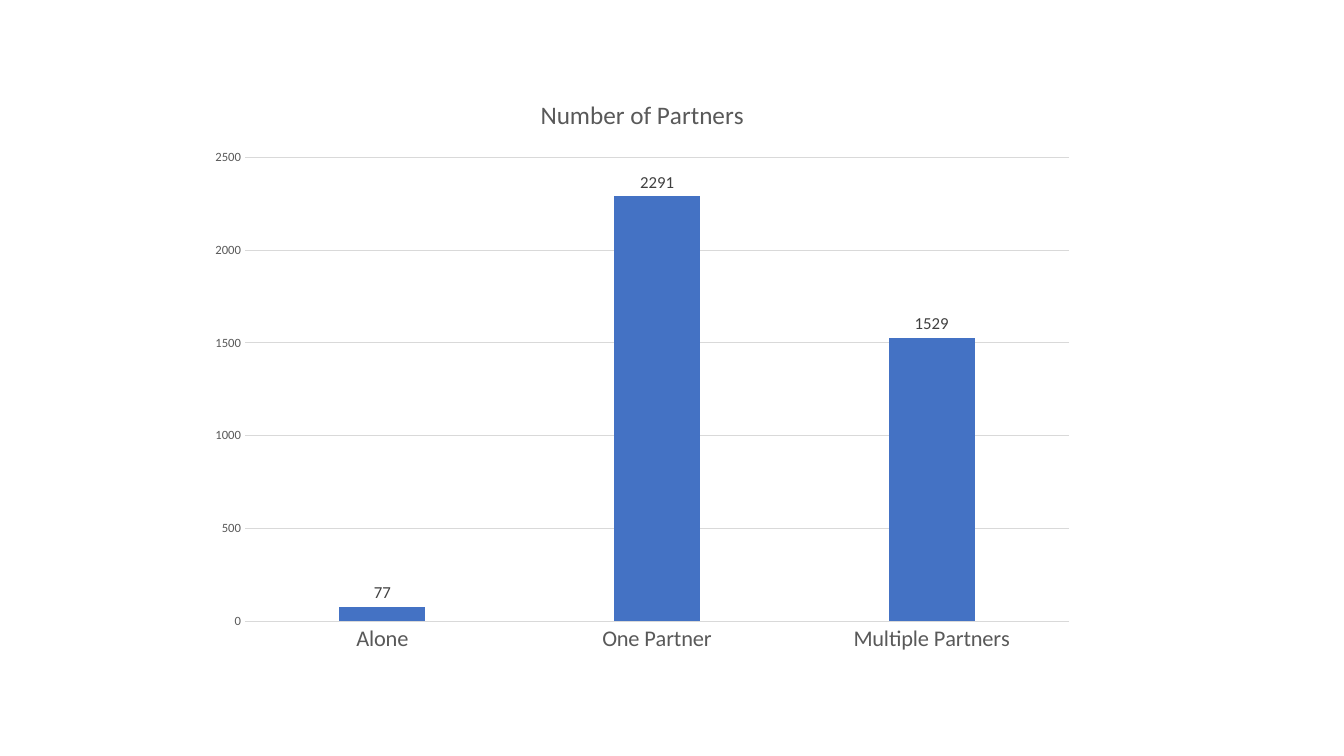
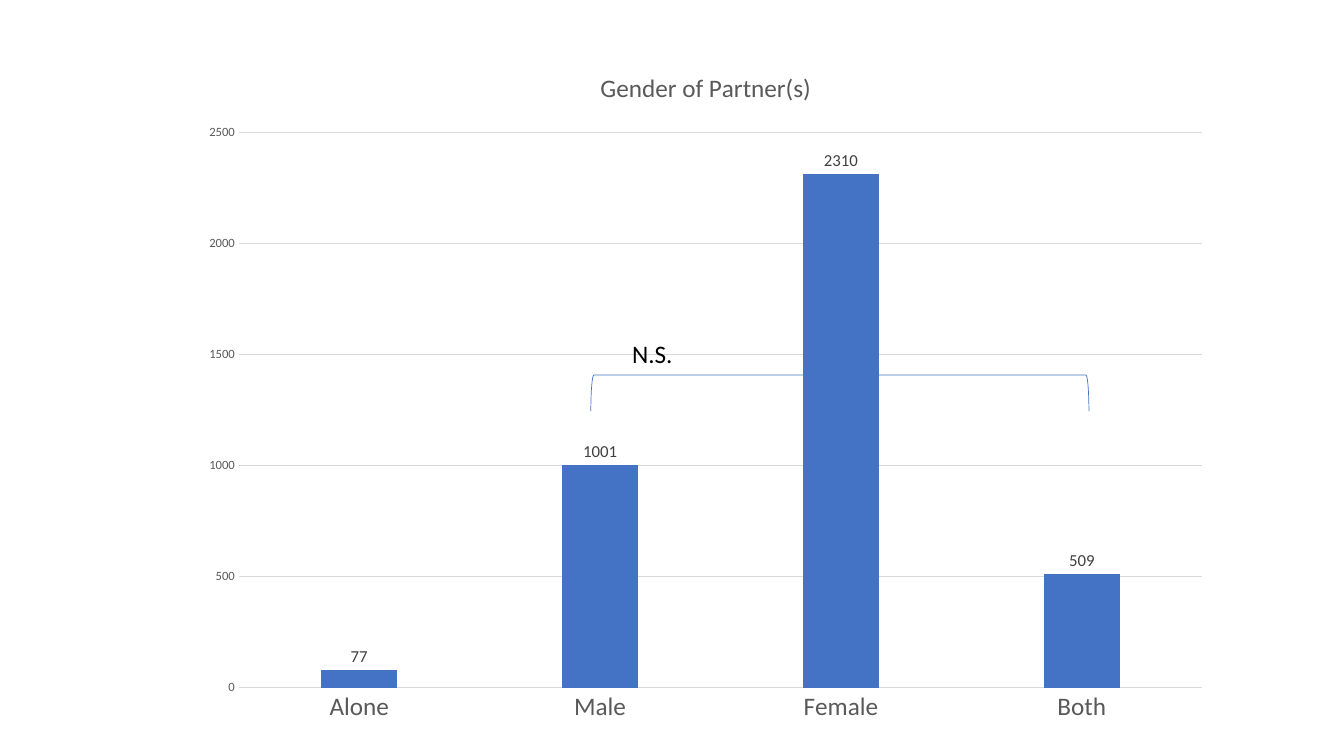
from pptx import Presentation
from pptx.chart.data import CategoryChartData
from pptx.dml.color import RGBColor
from pptx.enum.chart import XL_CHART_TYPE as ChartType, XL_LABEL_POSITION as LabelPosition
from pptx.enum.chart import XL_TICK_MARK as TickMark
from pptx.enum.shapes import MSO_SHAPE as Shape
from pptx.enum.text import MSO_AUTO_SIZE as AutoSize
from pptx.util import Inches, Pt

BLUE = RGBColor(0x44, 0x72, 0xC4)
GRAY = RGBColor(0x59, 0x59, 0x59)
DARK_GRAY = RGBColor(0x40, 0x40, 0x40)
LIGHT_GRAY = RGBColor(0xD9, 0xD9, 0xD9)
BLACK = RGBColor(0, 0, 0)
FONT = "Calibri"


def format_font(font, size, color):
    """Apply the shared typeface with a size and a colour."""
    font.name = FONT
    font.size = Pt(size)
    font.bold = False
    font.color.rgb = color


def write_text(text_frame, text, size=18, color=BLACK):
    """Write one formatted run into a text frame."""
    run = text_frame.paragraphs[0].add_run()
    run.text = text
    format_font(run.font, size, color)


def format_line(line, color, width):
    """Give a line its colour and width in points."""
    line.color.rgb = color
    line.width = Pt(width)


def format_axes(chart, category_size):
    """Style the category axis, value axis and gridlines."""
    categories, values = chart.category_axis, chart.value_axis
    for axis, size in ((categories, category_size), (values, 9)):
        axis.major_tick_mark = axis.minor_tick_mark = TickMark.NONE
        format_font(axis.tick_labels.font, size, GRAY)
    categories.has_major_gridlines = False
    format_line(categories.format.line, LIGHT_GRAY, 0.75)
    values.format.line.fill.background()
    values.has_major_gridlines = True
    format_line(values.major_gridlines.format.line, LIGHT_GRAY, 0.75)


def format_columns(plot):
    """Style the columns and the values above them."""
    plot.gap_width = 219
    plot.overlap = -27
    plot.vary_by_categories = False
    fill = plot.series[0].format.fill
    fill.solid()
    fill.fore_color.rgb = BLUE
    plot.has_data_labels = True
    labels = plot.data_labels
    labels.show_value = True
    labels.position = LabelPosition.OUTSIDE_END
    format_font(labels.font, 12, DARK_GRAY)


def add_column_chart(slide, box, title, counts, category_size):
    """Place a titled column chart of counts in a box."""
    data = CategoryChartData()
    data.categories = list(counts)
    data.add_series("Series 1", list(counts.values()))
    frame = slide.shapes.add_chart(ChartType.COLUMN_CLUSTERED, *map(Inches, box), data)
    chart = frame.chart
    format_font(chart.font, 10, BLACK)
    chart.has_legend = False
    chart.has_title = True
    write_text(chart.chart_title.text_frame, title, color=GRAY)
    format_axes(chart, category_size)
    format_columns(chart.plots[0])


def add_comparison(slide, box, text):
    """Span a box with a bracket that opens downwards and label it."""
    left, top, width, height = box
    bracket = slide.shapes.add_shape(
        Shape.LEFT_BRACKET,
        Inches(left + (width - height) / 2),
        Inches(top + (height - width) / 2),
        Inches(height),
        Inches(width),
    )
    bracket.rotation = 90
    bracket.shadow.inherit = False
    bracket.fill.background()
    format_line(bracket.line, BLUE, 0.5)
    label = slide.shapes.add_textbox(
        Inches(left + 0.31), Inches(top - 0.41), Inches(0.61), Inches(0.4)
    )
    label.text_frame.word_wrap = False
    label.text_frame.auto_size = AutoSize.SHAPE_TO_FIT_TEXT
    write_text(label.text_frame, text)


def add_partners_slide(presentation, layout):
    """Add the slide on the number of partners."""
    slide = presentation.slides.add_slide(layout)
    counts = {"Alone": 77, "One Partner": 2291, "Multiple Partners": 1529}
    add_column_chart(slide, (1.96, 0.75, 8.82, 5.84), "Number of Partners", counts, 16)


def add_gender_slide(presentation, layout):
    """Add the slide on the gender of partners with its comparison."""
    slide = presentation.slides.add_slide(layout)
    counts = {"Alone": 77, "Male": 1001, "Female": 2310, "Both": 509}
    add_column_chart(slide, (1.87, 0.46, 10.26, 6.84), "Gender of Partner(s)", counts, 18)
    add_comparison(slide, (5.86, 3.72, 4.94, 0.36), "N.S.")


def main():
    """Build and save the presentation."""
    presentation = Presentation()
    presentation.slide_width = Inches(13.33)
    presentation.slide_height = Inches(7.5)
    blank = presentation.slide_layouts[6]
    add_partners_slide(presentation, blank)
    add_gender_slide(presentation, blank)
    presentation.save("out.pptx")


main()
